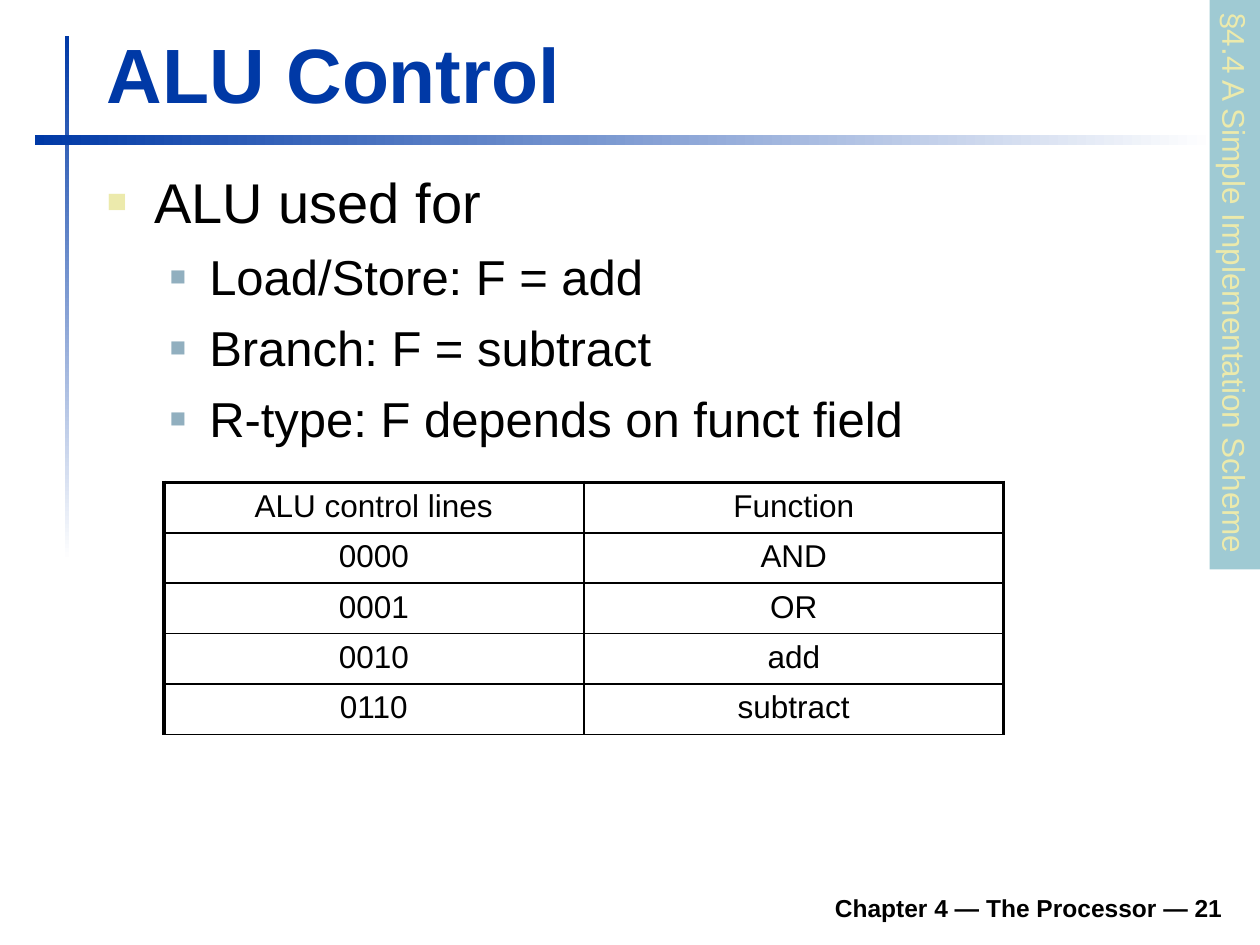
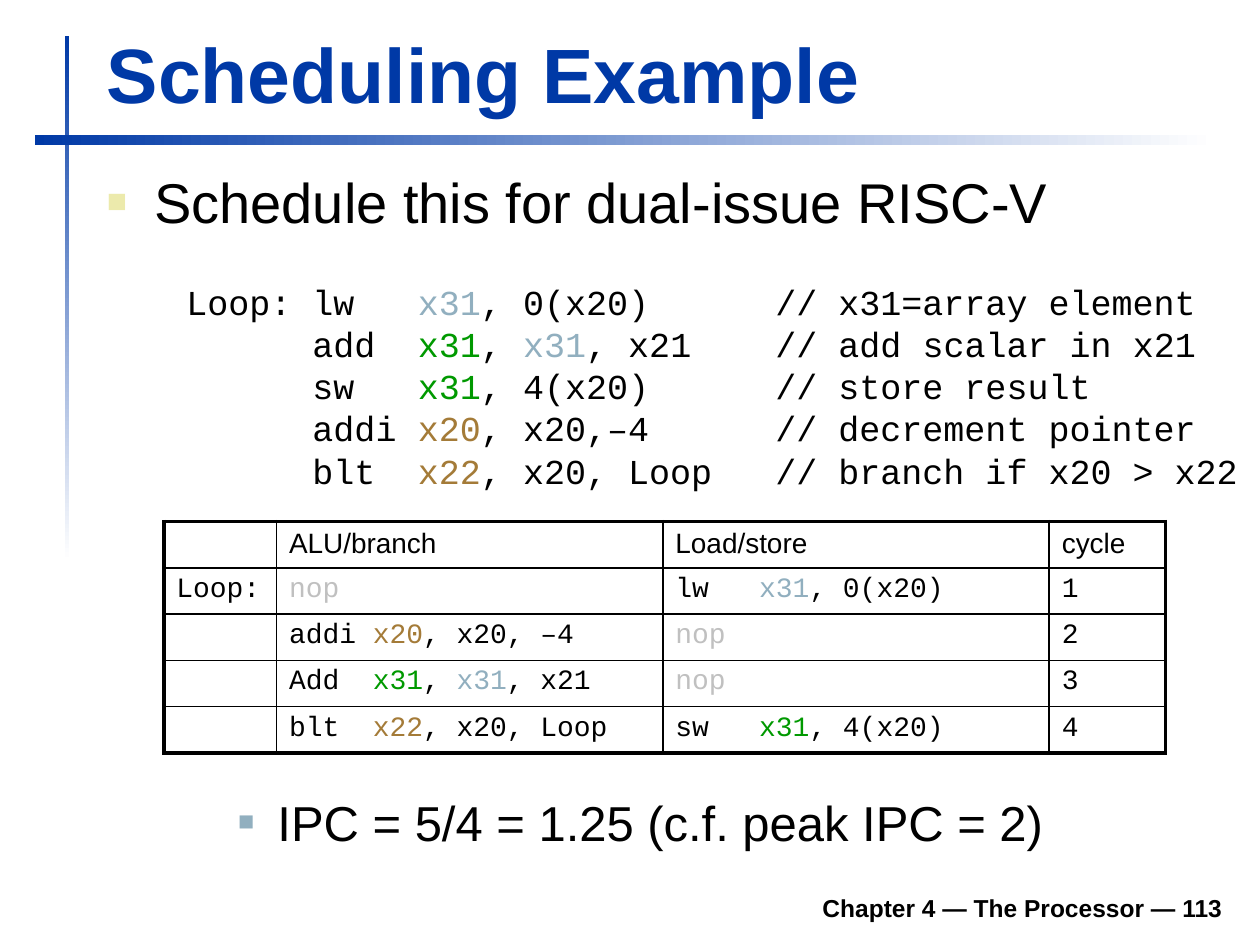
from lxml.etree import SubElement
from pptx import Presentation
from pptx.dml.color import RGBColor as Rgb
from pptx.enum.shapes import MSO_SHAPE as Shape
from pptx.enum.text import MSO_ANCHOR as Anchor, PP_ALIGN as Align
from pptx.oxml.ns import qn
from pptx.util import Pt

# Theme: colours, fonts and type sizes
THEME = {
    "blue": "0039A6", "white": "FFFFFF", "black": "000000",
    "cream": "ECEAAC", "steel": "91AFBF", "teal": "9FCAD3",
    "green": "009900", "brown": "A47B38", "grey": "C0C0C0",
    "sans": "Arial", "mono": "Courier New",
    "title": 44, "body": 32, "sub": 28, "code": 20, "label": 18,
    "schedule": 16, "footer": 14,
}
# A marked part of a text, such as |Lx31|, starts with the key of its colour
MARKS = {"L": "steel", "R": "green", "P": "brown", "N": "grey"}
# Per bullet level: text size, bullet colour and size, left margin, hanging indent
BULLETS = [
    {"size": "body", "color": "cream", "percent": 60, "margin": 27, "hang": 27},
    {"size": "sub", "color": "steel", "percent": 55, "margin": 58.5, "hang": 22.5},
]


def write_text(paragraph, text, size, color="black", font="sans", bold=False, align=Align.LEFT):
    """Fill a paragraph with runs, colouring the marked parts."""
    paragraph.alignment = align
    for index, part in enumerate(text.split("|")):
        marked = index % 2 == 1
        run = paragraph.add_run()
        run.text = part[1:] if marked else part
        values = {"name": THEME[font], "size": Pt(THEME[size]), "bold": bold}
        for name, value in values.items():
            setattr(run.font, name, value)
        run.font.color.rgb = Rgb.from_string(THEME[MARKS[part[0]] if marked else color])


def add_text(slide, box, lines, frame_format=None, **style):
    """Add a text box; a line given as (level, text) becomes a bullet."""
    frame = slide.shapes.add_textbox(*map(Pt, box)).text_frame
    for name, value in {"word_wrap": True, **(frame_format or {})}.items():
        setattr(frame, name, value)
    for index, line in enumerate(lines):
        paragraph = frame.add_paragraph() if index else frame.paragraphs[0]
        if isinstance(line, str):
            write_text(paragraph, line, **style)
            continue
        level, text = line
        bullet = BULLETS[level]
        paragraph.level = level
        properties = paragraph._p.get_or_add_pPr()
        properties.set("marL", str(Pt(bullet["margin"])))
        properties.set("indent", str(-Pt(bullet["hang"])))
        color = SubElement(properties, qn("a:buClr"))
        SubElement(color, qn("a:srgbClr"), val=THEME[bullet["color"]])
        SubElement(properties, qn("a:buSzPct"), val=str(bullet["percent"] * 1000))
        SubElement(properties, qn("a:buFont"), typeface=THEME["sans"])
        SubElement(properties, qn("a:buChar"), char="■")
        if index:
            paragraph.space_before = Pt(7)
        write_text(paragraph, text, bullet["size"])


presentation = Presentation()
presentation.slide_width, presentation.slide_height = Pt(720), Pt(540)

BODY_FORMAT = {"margin_top": Pt(7)}
RULES = [((36.9, 20.4, 2.6, 300), 270), ((19.8, 77, 674.6, 5.9), 0)]

PAGES = [
    {
        "title": "ALU Control", "number": 21,
        "body": [
            (0, "ALU used for"),
            (1, "Load/Store: F = add"),
            (1, "Branch: F = subtract"),
            (1, "R-type: F depends on funct field"),
        ],
        "table": {
            "top": 275.6, "columns": [240, 240], "row": 28.8, "bottom_line": 1,
            "size": "label", "font": "sans", "align": Align.CENTER,
            "rows": [
                ["ALU control lines", "Function"],
                ["0000", "AND"],
                ["0001", "OR"],
                ["0010", "add"],
                ["0110", "subtract"],
            ],
        },
    },
    {
        "title": "Scheduling Example", "number": 113,
        "body": [(0, "Schedule this for dual-issue RISC-V")],
        "table": {
            "top": 298.1, "columns": [64.4, 220.8, 220.8, 66.6], "row": 26.4, "bottom_line": 2.25,
            "size": "schedule", "font": "mono", "align": Align.LEFT,
            "rows": [
                ["", "ALU/branch", "Load/store", "cycle"],
                ["Loop:", "|Nnop|", "lw   |Lx31|, 0(x20)", "1"],
                ["", "addi |Px20|, x20, –4", "|Nnop|", "2"],
                ["", "Add  |Rx31|, |Lx31|, x21", "|Nnop|", "3"],
                ["", "blt  |Px22|, x20, Loop", "sw   |Rx31|, 4(x20)", "4"],
            ],
        },
    },
]

for page in PAGES:
    slide = presentation.slides.add_slide(presentation.slide_layouts[6])

    # Fading rules
    for box, angle in RULES:
        rule = slide.shapes.add_shape(Shape.RECTANGLE, *map(Pt, box))
        rule.shadow.inherit = False
        rule.line.fill.background()
        rule.fill.gradient()
        rule.fill.gradient_angle = angle
        for stop, color in zip(rule.fill.gradient_stops, ("blue", "white")):
            stop.color.rgb = Rgb.from_string(THEME[color])

    # Footer, title and body
    bottom = {"vertical_anchor": Anchor.BOTTOM}
    add_text(slide, (67.7, 502.6, 638, 28), [f"Chapter 4 — The Processor — {page['number']}"],
             bottom, size="footer", bold=True, align=Align.RIGHT)
    add_text(slide, (54, 11.5, 650, 59.8), [page["title"]],
             bottom, size="title", color="blue", bold=True)
    body_height = 187 if len(page["body"]) > 1 else 55
    add_text(slide, (54, 88.6, 651.6, body_height), page["body"], BODY_FORMAT)

    # Table: heavy outline, medium line under the header, thin lines inside
    grid = page["table"]
    rows, columns = grid["rows"], grid["columns"]
    last_row, last_column = len(rows) - 1, len(columns) - 1
    table = slide.shapes.add_table(
        len(rows), len(columns), Pt(93.6), Pt(grid["top"]),
        Pt(sum(columns)), Pt(grid["row"] * len(rows))).table
    table.first_row = table.horz_banding = False
    for column, width in zip(table.columns, columns):
        column.width = Pt(width)
    for row_index, texts in enumerate(rows):
        table.rows[row_index].height = Pt(grid["row"])
        for column_index, text in enumerate(texts):
            cell = table.cell(row_index, column_index)
            paragraph = cell.text_frame.paragraphs[0]
            if text:
                write_text(paragraph, text, grid["size"], align=grid["align"],
                           font=grid["font"] if row_index else "sans")
            else:
                SubElement(paragraph._p, qn("a:endParaRPr"), sz=str(THEME[grid["size"]] * 100))
            line_widths = {
                "a:lnL": 1 if column_index else 2.25,
                "a:lnR": 2.25 if column_index == last_column else 1,
                "a:lnT": {0: 2.25, 1: 1.5}.get(row_index, 1),
                "a:lnB": {0: 1.5, last_row: grid["bottom_line"]}.get(row_index, 1),
            }
            properties = cell._tc.get_or_add_tcPr()
            for tag, width in line_widths.items():
                line = SubElement(properties, qn(tag), w=str(Pt(width)))
                fill = SubElement(line, qn("a:solidFill"))
                SubElement(fill, qn("a:srgbClr"), val=THEME["black"])
            cell.fill.background()

control_slide, schedule_slide = presentation.slides

# Section tab on the right edge
tab = control_slide.shapes.add_shape(Shape.RECTANGLE, Pt(542.9), Pt(148.3), Pt(325.4), Pt(28.8))
tab.rotation = 90
tab.shadow.inherit = False
tab.line.fill.background()
tab.fill.solid()
tab.fill.fore_color.rgb = Rgb.from_string(THEME["teal"])
tab.text_frame.word_wrap = False
tab.text_frame.vertical_anchor = Anchor.TOP
write_text(tab.text_frame.paragraphs[0], "§4.4 A Simple Implementation Scheme", "label", "cream")

# Loop code
add_text(schedule_slide, (99.4, 157, 617, 128), [
    "Loop: lw   |Lx31|, 0(x20)      // x31=array element",
    "      add  |Rx31|, |Lx31|, x21    // add scalar in x21",
    "      sw   |Rx31|, 4(x20)      // store result",
    "      addi |Px20|, x20,–4      // decrement pointer",
    "      blt  |Px22|, x20, Loop   // branch if x20 > x22",
], {"word_wrap": False}, size="code", font="mono")

# Resulting throughput
add_text(schedule_slide, (93, 445.7, 612, 51), [(1, "IPC = 5/4 = 1.25 (c.f. peak IPC = 2)")], BODY_FORMAT)

presentation.save("out.pptx")
